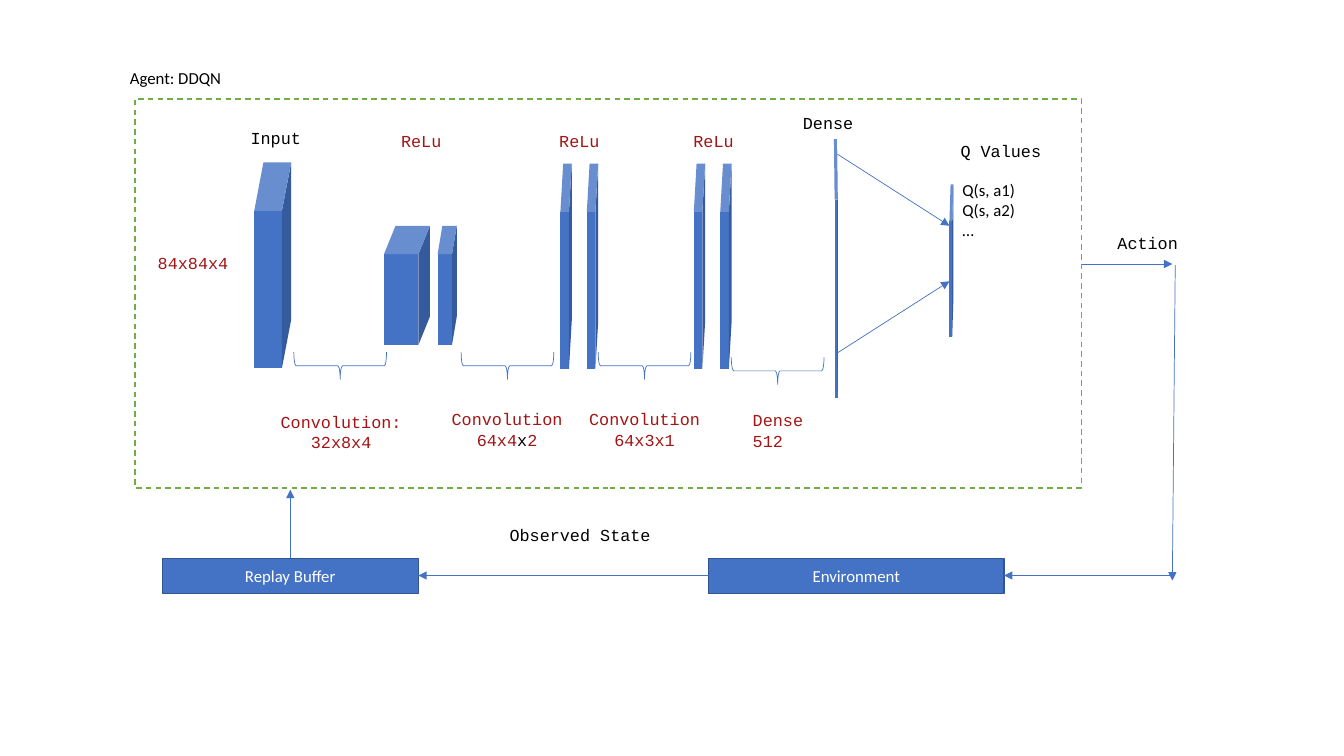
"""Build the DDQN agent diagram slide."""
from lxml import etree
from pptx import Presentation
from pptx.dml.color import RGBColor
from pptx.enum.dml import MSO_LINE
from pptx.enum.shapes import MSO_CONNECTOR, MSO_SHAPE
from pptx.enum.text import MSO_ANCHOR, MSO_AUTO_SIZE, PP_ALIGN
from pptx.oxml.ns import qn
from pptx.util import Pt

RECT, BRACE = MSO_SHAPE.RECTANGLE, MSO_SHAPE.LEFT_BRACE
STRAIGHT, DASH = MSO_CONNECTOR.STRAIGHT, MSO_LINE.DASH
LEFT, CENTER = PP_ALIGN.LEFT, PP_ALIGN.CENTER
MIDDLE, GROW = MSO_ANCHOR.MIDDLE, MSO_AUTO_SIZE.SHAPE_TO_FIT_TEXT
MONO, SANS = "Courier New", "Calibri"
COLORS = {
    "white": "FFFFFF", "black": "000000", "red": "A31515", "green": "70AD47",
    "blue": "4472C4", "side": "365B9D", "top": "698ED0", "edge": "325491",
}

AGENT_FRAME = (96.5, 70.6, 676.1, 277.9)

# left, top, front width, full height, depth across, depth up
TALL = (116.8, 6.1, 146.9, 2, 34.6)
LAYERS = [
    (181.6, 116, 19.8, 146.9, 6.6, 34.6),
    (274.3, 161.3, 24.6, 85, 8.2, 20.2),
    (312.6, 161.3, 10.3, 85, 3.4, 20.2),
    *[(left, *TALL) for left in (400.3, 419.2, 495.6, 514.5)],
    (596.2, 99.4, 2.1, 185, -0.5, 43.2),
    (678.2, 131.8, 2, 108.7, 0.8, 25.9),
]

LABELS = [
    ((171.4, 87.8, 51.1, 21.8), ["Input"], MONO, "black", CENTER),
    ((105.1, 177.1, 65.5, 21.8), ["84x84x4"], MONO, "red", CENTER),
    ((187.2, 290.2, 113, 36.3), ["Convolution:", "32x8x4"], MONO, "red", CENTER),
    ((312.5, 288.7, 99.4, 51), ["Convolution", [("64x4", "red"), ("x", "black"), ("2", "red")]],
     MONO, "red", CENTER),
    ((411.8, 288.7, 97.2, 51), ["Convolution", "64x3x1"], MONO, "red", CENTER),
    ((530.6, 289.4, 58.3, 51), ["Dense", "512"], MONO, "red", LEFT),
    ((85.7, 44.6, 114.5, 21.8), ["Agent: DDQN"], SANS, "black", LEFT),
    ((565.9, 77, 51.1, 21.8), ["Dense"], MONO, "black", CENTER),
    ((685.4 - 5, 124.6, 130.3, 51), ["Q(s, a1)", "Q(s, a2)", "…"], SANS, "black", LEFT),
    ((678.2, 97.2, 73.4, 21.8), ["Q Values"], MONO, "black", CENTER),
    ((790.6, 162.7, 58.3, 21.8), ["Action"], MONO, "black", CENTER),
    ((355.7, 371.5, 117.4, 21.8), ["Observed State"], MONO, "black", CENTER),
    *[((left, 90, 67, 36.3), ["ReLu"], MONO, "red", LEFT) for left in (279.4, 392.4, 488.2)],
]

STAGES = [
    ((115.9, 398.9, 182.9, 25.2), "Replay Buffer"),
    ((506.2, 398.9, 211, 25.2), "Environment"),
]

BRACES = [(233.3, 228.2), (352.8, 228.2), (450.7, 228.2), (545.8, 231.8)]
BRACE_SIZE = (19.4, 66.2)

ARROWS = [
    (772.6, 188.6, 837.4, 188.6),
    (839.5, 189.4, 837.4, 414.7),
    (837.4, 411.1, 717.2, 411.1),
    (506.2, 411.1, 298.8, 411.1),
    (207.4, 398.9, 207.4, 349.9),
    (598.3, 110.2, 678.2, 161.3),
    (598.3, 252, 678.2, 200.9),
]


def pts(values):
    return [Pt(v) for v in values]


def rgb(name):
    return RGBColor.from_string(COLORS[name])


def paint(sp, fill=None, line=None, width=1):
    sp.shadow.inherit = False
    for part, color in ((sp.fill, fill), (sp.line.fill, line)):
        if color:
            part.solid()
            part.fore_color.rgb = rgb(color)
        else:
            part.background()
    if line:
        sp.line.width = Pt(width)


def write(tf, lines, font, color, align):
    for i, line in enumerate(lines):
        p = tf.paragraphs[0] if i == 0 else tf.add_paragraph()
        p.alignment = align
        runs = [(line, color)] if isinstance(line, str) else line
        for text, run_color in runs:
            r = p.add_run()
            r.text = text
            for key, value in {"name": font, "size": Pt(12)}.items():
                setattr(r.font, key, value)
            r.font.color.rgb = rgb(run_color)


def add_layer(s, left, top, width, height, dx, dy):
    right, bottom = left + width, top + height
    faces = {
        "blue": [(left, top + dy), (right, top + dy), (right, bottom), (left, bottom)],
        "side": [(right, top + dy), (right + dx, top), (right + dx, bottom - dy), (right, bottom)],
        "top": [(left, top + dy), (left + dx, top), (right + dx, top), (right, top + dy)],
    }
    for color, corners in faces.items():
        start, *rest = [pts(corner) for corner in corners]
        outline = s.shapes.build_freeform(*start)
        outline.add_line_segments(rest, close=True)
        paint(outline.convert_to_shape(), color)


def add_label(s, box, lines, font, color, align):
    tf = s.shapes.add_textbox(*pts(box)).text_frame
    tf.word_wrap = align == LEFT
    tf.auto_size = GROW
    write(tf, lines, font, color, align)


def add_stage(s, box, name):
    sp = s.shapes.add_shape(RECT, *pts(box))
    paint(sp, "blue", "edge")
    sp.text_frame.vertical_anchor = MIDDLE
    write(sp.text_frame, [name], SANS, "white", CENTER)


def add_arrow(s, ends):
    sp = s.shapes.add_connector(STRAIGHT, *pts(ends))
    sp.line.color.rgb = rgb("blue")
    sp.line.width = Pt(0.5)
    etree.SubElement(sp.line._get_or_add_ln(), qn("a:tailEnd"), type="triangle")
    etree.SubElement(sp._element.spPr, qn("a:effectLst"))


def main():
    prs = Presentation()
    prs.slide_width, prs.slide_height = Pt(960), Pt(540)
    s = prs.slides.add_slide(prs.slide_layouts[6])

    frame = s.shapes.add_shape(RECT, *pts(AGENT_FRAME))
    paint(frame, "white", "green")
    frame.line.dash_style = DASH

    for layer in LAYERS:
        add_layer(s, *layer)
    for label in LABELS:
        add_label(s, *label)
    for stage in STAGES:
        add_stage(s, *stage)
    for corner in BRACES:
        sp = s.shapes.add_shape(BRACE, *pts(corner + BRACE_SIZE))
        sp.rotation = 270
        paint(sp, line="blue", width=0.5)
    for ends in ARROWS:
        add_arrow(s, ends)

    prs.save("out.pptx")


if __name__ == "__main__":
    main()
